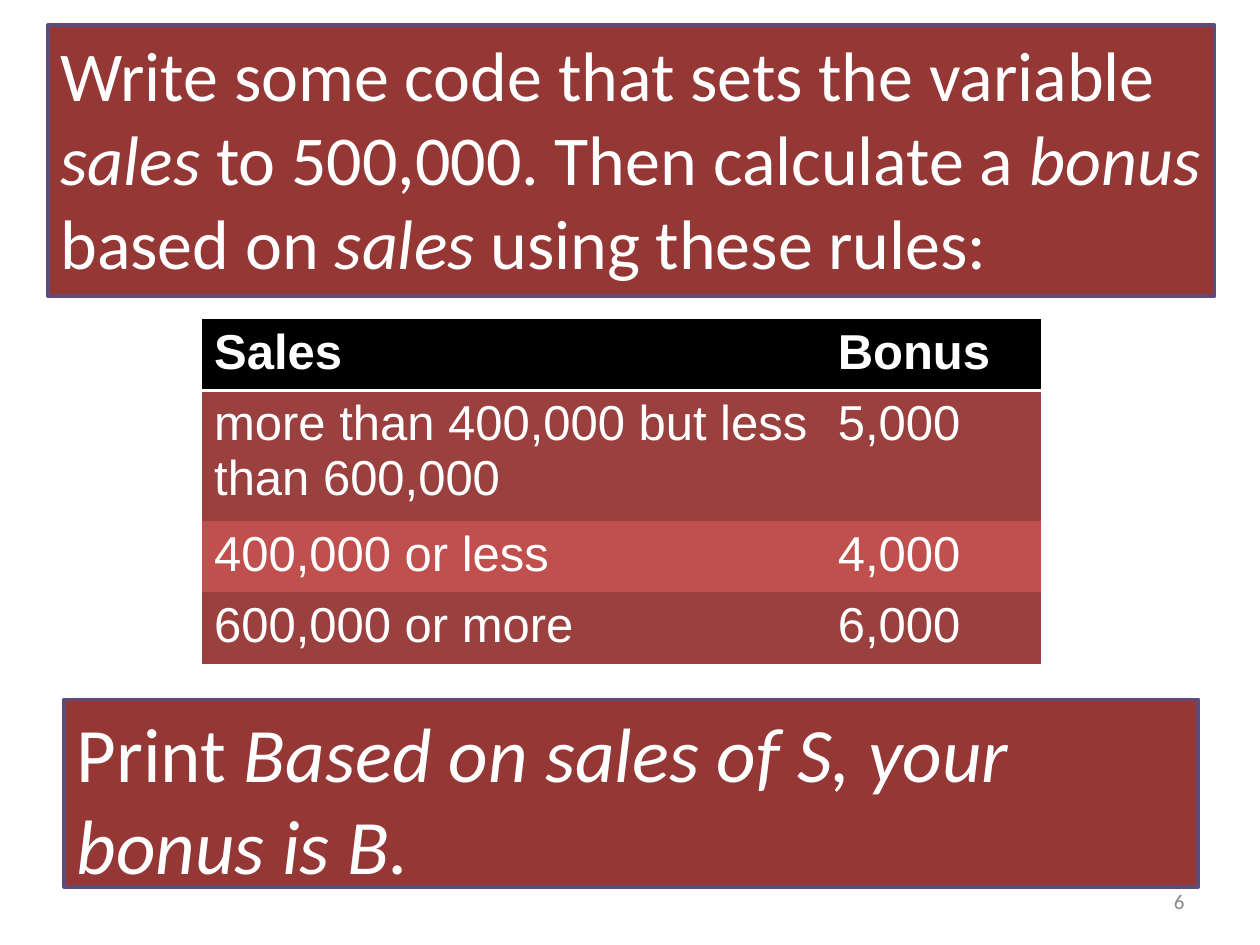
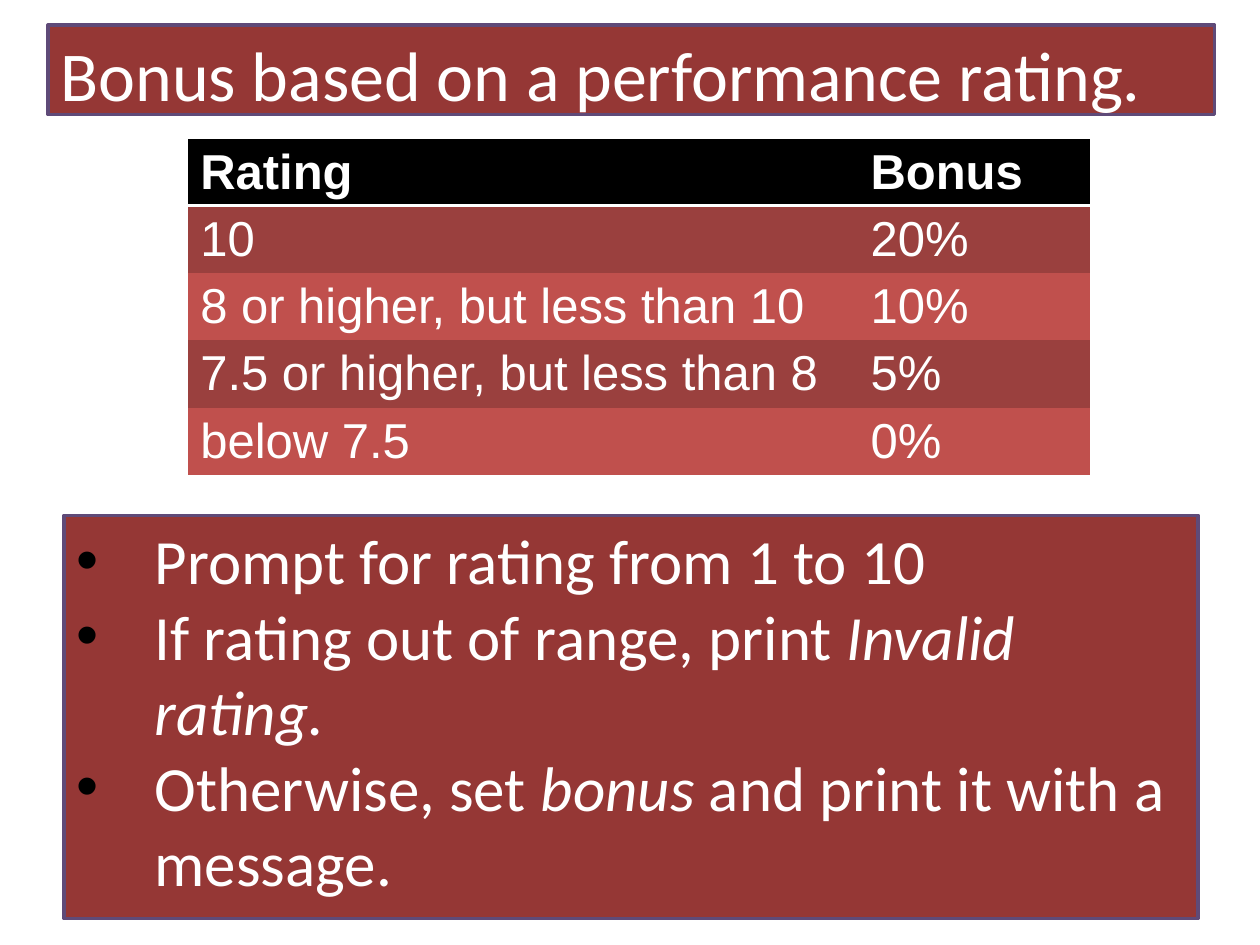
from pptx import Presentation
from pptx.dml.color import RGBColor
from pptx.enum.shapes import MSO_SHAPE as SHAPE
from pptx.enum.text import MSO_ANCHOR as ANCHOR, MSO_AUTO_SIZE as AUTOSIZE, PP_ALIGN as ALIGN
from pptx.oxml import parse_xml
from pptx.oxml.ns import nsdecls
from pptx.util import Inches, Pt

BRICK = RGBColor(0x95, 0x37, 0x35)
PURPLE = RGBColor(0x5F, 0x4A, 0x78)
BLACK = RGBColor(0x00, 0x00, 0x00)
DARK_BAND = RGBColor(0x9A, 0x40, 0x3E)
LIGHT_BAND = RGBColor(0xC0, 0x50, 0x4D)
WHITE = RGBColor(0xFF, 0xFF, 0xFF)
GRAY = RGBColor(0x88, 0x88, 0x88)

PLAIN_TABLE = "{2D5ABB26-0587-4C30-8999-92F81FD0307C}"
ROW_HEIGHT = 0.53
BULLET_INDENT = 0.62

EXERCISES = [
    {
        "task": "Write some code that sets the variable *sales* to 500,000. "
                "Then calculate a *bonus* based on *sales* using these rules:",
        "task_height": 2.15,
        "rules": [
            ("Sales", "Bonus"),
            ("more than 400,000 but less than 600,000", "5,000"),
            ("400,000 or less", "4,000"),
            ("600,000 or more", "6,000"),
        ],
        "rules_at": (1.6, 2.53),
        "columns": (4.95, 1.71),
        "steps": ["Print *Based on sales of S, your bonus is B.*"],
        "steps_top": 5.55, "steps_height": 1.49, "steps_size": 44,
        "number": "6",
    },
    {
        "task": "Bonus based on a performance rating.",
        "task_height": 0.71,
        "rules": [
            ("Rating", "Bonus"),
            ("10", "20%"),
            ("8 or higher, but less than 10", "10%"),
            ("7.5 or higher, but less than 8", "5%"),
            ("below 7.5", "0%"),
        ],
        "rules_at": (1.49, 1.1),
        "columns": (5.32, 1.84),
        "steps": [
            "Prompt for rating from 1 to 10",
            "If rating out of range, print *Invalid rating.*",
            "Otherwise, set *bonus* and print it with a message.",
        ],
        "steps_top": 4.09, "steps_height": 3.2, "steps_size": 36,
        "number": None,
    },
]


def fill_panel(panel, lines, size):
    """Style a brick panel and write its lines; *asterisks* mark italics, several lines get bullets."""
    panel.fill.solid()
    panel.fill.fore_color.rgb = BRICK
    panel.line.color.rgb = PURPLE
    panel.line.width = Pt(2)
    frame = panel.text_frame
    frame.word_wrap = True
    frame.auto_size = AUTOSIZE.NONE
    frame.vertical_anchor = ANCHOR.TOP
    for i, line in enumerate(lines):
        paragraph = frame.add_paragraph() if i else frame.paragraphs[0]
        paragraph.alignment = ALIGN.LEFT
        paragraph.space_before = Pt(0)
        paragraph.font.name = "Calibri"
        paragraph.font.size = Pt(size)
        paragraph.font.color.rgb = WHITE
        for j, piece in enumerate(line.split("*")):
            if piece:
                run = paragraph.add_run()
                run.text = piece
                if j % 2:
                    run.font.italic = True
        properties = paragraph._p.get_or_add_pPr()
        indent = Inches(BULLET_INDENT) if len(lines) > 1 else 0
        properties.set("marL", str(indent))
        properties.set("indent", str(-indent))
        if indent:
            marks = [f'<a:buClr {nsdecls("a")}><a:srgbClr val="{BLACK}"/></a:buClr>',
                     f'<a:buFont {nsdecls("a")} typeface="Arial"/>',
                     f'<a:buChar {nsdecls("a")} char="•"/>']
        else:
            marks = [f'<a:buNone {nsdecls("a")}/>']
        default_font = properties.find("{*}defRPr")
        for mark in marks:
            default_font.addprevious(parse_xml(mark))


prs = Presentation()
prs.slide_width, prs.slide_height = Inches(10), Inches(7.5)

for exercise in EXERCISES:
    slide = prs.slides.add_slide(prs.slide_layouts[1])
    unused_title = slide.shapes.title.element
    unused_title.getparent().remove(unused_title)

    task = slide.placeholders[1]
    task.left, task.top = Inches(0.38), Inches(0.2)
    task.width, task.height = Inches(9.26), Inches(exercise["task_height"])
    fill_panel(task, [exercise["task"]], 40)

    if exercise["number"]:
        number = slide.shapes.add_textbox(Inches(7.17), Inches(6.95), Inches(2.33), Inches(0.4))
        number.text_frame.word_wrap = True
        number.text_frame.vertical_anchor = ANCHOR.MIDDLE
        page = number.text_frame.paragraphs[0]
        page.text = exercise["number"]
        page.alignment = ALIGN.RIGHT
        page.font.name = "Calibri"
        page.font.size = Pt(12)
        page.font.color.rgb = GRAY

    rules, columns = exercise["rules"], exercise["columns"]
    left, top = exercise["rules_at"]
    rules_frame = slide.shapes.add_table(
        len(rules), len(columns), Inches(left), Inches(top),
        Inches(sum(columns)), Inches(ROW_HEIGHT * len(rules)))
    table = rules_frame.table
    table._tbl.tblPr.find("{*}tableStyleId").text = PLAIN_TABLE
    for column, width in zip(table.columns, columns):
        column.width = Inches(width)
    for r, rule in enumerate(rules):
        table.rows[r].height = Inches(ROW_HEIGHT)
        for c, text in enumerate(rule):
            cell = table.cell(r, c)
            cell.text = text
            cell.fill.solid()
            cell.fill.fore_color.rgb = BLACK if r == 0 else DARK_BAND if r % 2 else LIGHT_BAND
            font = cell.text_frame.paragraphs[0].font
            font.name = "Arial"
            font.size = Pt(28)
            font.bold = r == 0
            font.color.rgb = WHITE
            if r == 0:
                cell._tc.get_or_add_tcPr().insert(0, parse_xml(
                    f'<a:lnB {nsdecls("a")} w="{Pt(2)}"><a:solidFill>'
                    f'<a:srgbClr val="{WHITE}"/></a:solidFill></a:lnB>'))

    steps = slide.shapes.add_shape(
        SHAPE.RECTANGLE, Inches(0.51), Inches(exercise["steps_top"]),
        Inches(9), Inches(exercise["steps_height"]))
    steps.shadow.inherit = False
    fill_panel(steps, exercise["steps"], exercise["steps_size"])

prs.save("out.pptx")
